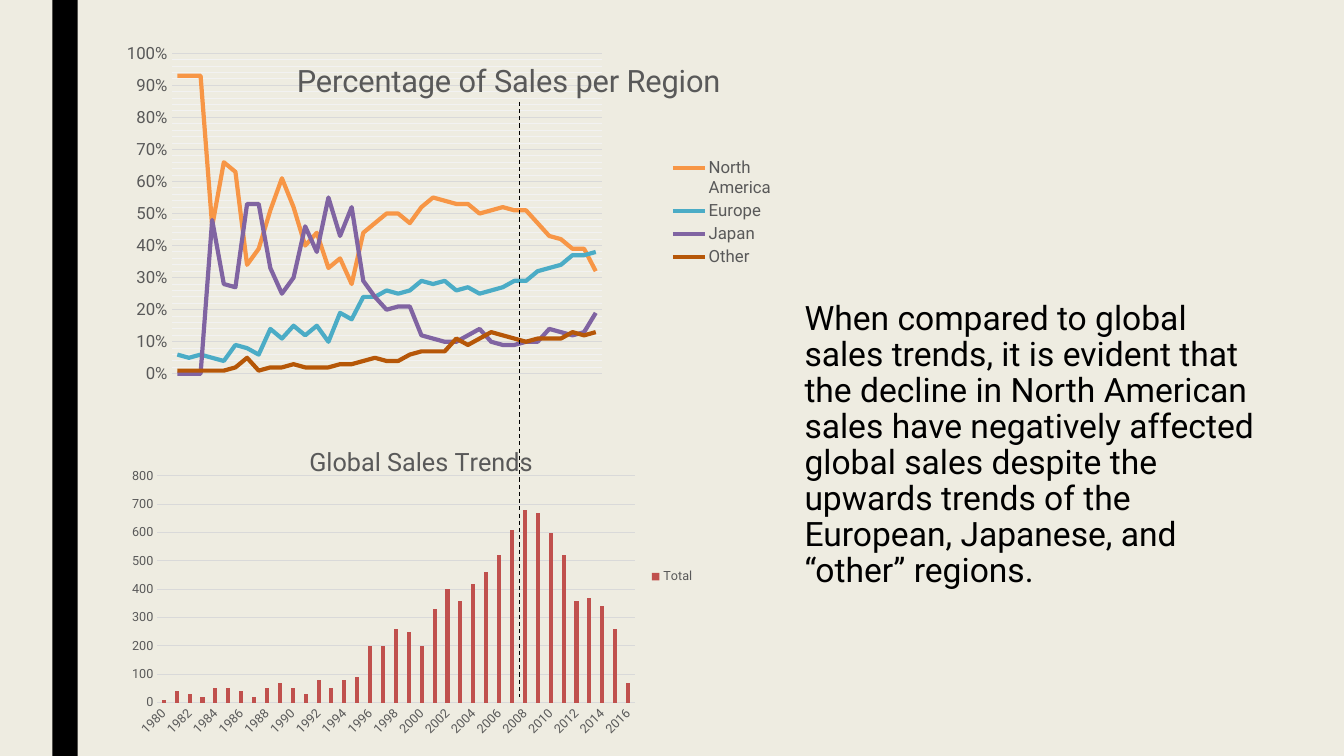
"""Build a slide that sets regional sales shares against global sales trends."""
from dataclasses import dataclass
from typing import Any

import lxml.etree
import pptx
import pptx.chart.data
import pptx.dml.color
import pptx.enum.chart
import pptx.enum.dml
import pptx.enum.shapes
import pptx.oxml
import pptx.oxml.ns
import pptx.util

RGB = pptx.dml.color.RGBColor
BLACK = RGB(0x00, 0x00, 0x00)
CREAM = RGB(0xEE, 0xEC, 0xE1)
GRAY = RGB(0x59, 0x59, 0x59)
GRID = RGB(0xD9, 0xD9, 0xD9)
PALE_GRID = RGB(0xF2, 0xF2, 0xF2)
ORANGE = RGB(0xF7, 0x96, 0x46)
TEAL = RGB(0x4B, 0xAC, 0xC6)
PURPLE = RGB(0x80, 0x64, 0xA2)
BROWN = RGB(0xB6, 0x57, 0x08)
RED = RGB(0xC0, 0x50, 0x4D)

FONT = "Roboto"
WIDTH, HEIGHT = pptx.util.Inches(13.33), pptx.util.Inches(7.5)
YEARS = [str(year) for year in range(1980, 2017)]
MESSAGE = (
    "When compared to global sales trends, it is evident that the decline in North American "
    "sales have negatively affected global sales despite the upwards trends of the European, "
    "Japanese, and “other” regions."
)


@dataclass(frozen=True)
class Box:
    """Left, top, width and height as percentages of the containing area."""
    left: float
    top: float
    width: float = 0
    height: float = 0

    def on_slide(self) -> tuple[int, int, int, int]:
        """Convert the percentages to slide lengths."""
        return (int(WIDTH * self.left / 100), int(HEIGHT * self.top / 100),
                int(WIDTH * self.width / 100), int(HEIGHT * self.height / 100))


@dataclass(frozen=True)
class Region:
    """One data series and its colour."""
    name: str
    color: RGB
    values: list[float]


@dataclass(frozen=True)
class SalesChart:
    """Content and layout of one chart."""
    title: str
    title_size: float
    label_size: float
    kind: Any
    area: Box
    title_spot: Box
    plot: Box
    legend: Box
    regions: list[Region]
    top_value: float
    step: float
    number_format: str


SHARES = SalesChart(
    "Percentage of Sales per Region", 22, 12, pptx.enum.chart.XL_CHART_TYPE.LINE,
    Box(8.93, 4, 56.34, 50.8), Box(22.6, 6.5), Box(6.8, 6, 56.8, 83.5), Box(72, 32.5, 15, 30),
    [
        Region("North America", ORANGE, [
            .93, .93, .93, .46, .66, .63, .34, .39, .51, .61, .52, .4, .44, .33, .36, .28, .44, .47, .5,
            .5, .47, .52, .55, .54, .53, .53, .5, .51, .52, .51, .51, .47, .43, .42, .39, .39, .32]),
        Region("Europe", TEAL, [
            .06, .05, .06, .05, .04, .09, .08, .06, .14, .11, .15, .12, .15, .1, .19, .17, .24, .24, .26,
            .25, .26, .29, .28, .29, .26, .27, .25, .26, .27, .29, .29, .32, .33, .34, .37, .37, .38]),
        Region("Japan", PURPLE, [
            0, 0, 0, .48, .28, .27, .53, .53, .33, .25, .3, .46, .38, .55, .43, .52, .29, .24, .2,
            .21, .21, .12, .11, .1, .1, .12, .14, .1, .09, .09, .1, .1, .14, .13, .12, .13, .19]),
        Region("Other", BROWN, [
            .01, .01, .01, .01, .01, .02, .05, .01, .02, .02, .03, .02, .02, .02, .03, .03, .04, .05, .04,
            .04, .06, .07, .07, .07, .11, .09, .11, .13, .12, .11, .1, .11, .11, .11, .13, .12, .13]),
    ],
    1, 0.1, "0%",
)
TRENDS = SalesChart(
    "Global Sales Trends", 18, 9, pptx.enum.chart.XL_CHART_TYPE.COLUMN_CLUSTERED,
    Box(8.93, 53.6, 43.36, 44.93), Box(31.7, 10.5), Box(6.4, 20.8, 81.9, 66.8), Box(90, 46.5, 9.5, 8),
    [Region("Total", RED, [
        10, 40, 30, 20, 50, 50, 40, 20, 50, 70, 50, 30, 80, 50, 80, 90, 200, 200, 260, 250, 200, 330, 400,
        360, 420, 460, 520, 610, 680, 670, 600, 520, 360, 370, 340, 260, 70])],
    800, 100, "General",
)


def style_font(font: Any, size: float, color: RGB) -> None:
    """Apply the slide's typeface with a size and colour."""
    font.name, font.size, font.bold = FONT, pptx.util.Pt(size), False
    font.color.rgb = color


def style_line(line: Any, color: RGB, width: float = 0.75) -> None:
    """Colour a line and set its width in points."""
    line.color.rgb = color
    line.width = pptx.util.Pt(width)


def place(element: Any, box: Box, inner: bool = False) -> None:
    """Give a chart part a manual layout within its chart."""
    for old_layout in element.findall(pptx.oxml.ns.qn("c:layout")):
        element.remove(old_layout)
    settings = [("layoutTarget", "inner")] if inner else []
    settings += [("xMode", "edge"), ("yMode", "edge"), ("x", box.left / 100), ("y", box.top / 100)]
    if box.width:
        settings += [("w", box.width / 100), ("h", box.height / 100)]
    layout = pptx.oxml.parse_xml(f'<c:layout {pptx.oxml.ns.nsdecls("c")}><c:manualLayout/></c:layout>')
    for tag, value in settings:
        lxml.etree.SubElement(layout[0], pptx.oxml.ns.qn(f"c:{tag}"), val=str(value))
    overlay = element.find(pptx.oxml.ns.qn("c:overlay"))
    element.insert(0 if overlay is None else element.index(overlay), layout)


def style_axes(chart: Any, plan: SalesChart) -> None:
    """Format both axes and the gridlines."""
    years, amounts = chart.category_axis, chart.value_axis
    for axis in (years, amounts):
        axis.major_tick_mark = axis.minor_tick_mark = pptx.enum.chart.XL_TICK_MARK.NONE
        style_font(axis.tick_labels.font, plan.label_size, GRAY)
    style_line(years.format.line, GRID)
    amounts.format.line.fill.background()
    amounts.minimum_scale, amounts.maximum_scale = 0, plan.top_value
    amounts.major_unit = plan.step
    amounts.tick_labels.number_format = plan.number_format
    amounts.tick_labels.number_format_is_linked = False
    style_line(amounts.major_gridlines.format.line, GRID)


def add_sales_chart(slide: Any, plan: SalesChart) -> Any:
    """Add a chart with its title, axes, legend and layout."""
    sales = pptx.chart.data.CategoryChartData(number_format=plan.number_format)
    sales.categories = YEARS
    for region in plan.regions:
        sales.add_series(region.name, region.values)
    chart = slide.shapes.add_chart(plan.kind, *plan.area.on_slide(), sales).chart
    style_font(chart.font, 10, BLACK)
    chart.has_title = chart.has_legend = True
    heading = chart.chart_title.text_frame
    heading.text = plan.title
    style_font(heading.paragraphs[0].runs[0].font, plan.title_size, GRAY)
    chart.legend.position = pptx.enum.chart.XL_LEGEND_POSITION.RIGHT
    chart.legend.include_in_layout = False
    style_font(chart.legend.font, plan.label_size, GRAY)
    style_axes(chart, plan)
    place(chart.chart_title._element, plan.title_spot)
    place(chart.legend._element, plan.legend)
    place(chart._chartSpace.chart.plotArea, plan.plot, inner=True)
    chart.plots[0].vary_by_categories = False
    return chart


def add_share_lines(slide: Any) -> None:
    """Add the line chart of regional shares."""
    chart = add_sales_chart(slide, SHARES)
    chart.category_axis.tick_label_position = pptx.enum.chart.XL_TICK_LABEL_POSITION.NONE
    chart.value_axis.minor_unit = 0.02
    chart.value_axis.has_minor_gridlines = True
    minor_grid = chart.value_axis._element.find(pptx.oxml.ns.qn("c:minorGridlines"))
    minor_grid.append(pptx.oxml.parse_xml(
        f'<c:spPr {pptx.oxml.ns.nsdecls("c", "a")}><a:ln w="{pptx.util.Pt(0.75)}"><a:solidFill>'
        f'<a:srgbClr val="{PALE_GRID}"/></a:solidFill></a:ln></c:spPr>'))
    for series, region in zip(chart.series, SHARES.regions):
        series.smooth = False
        series.marker.style = pptx.enum.chart.XL_MARKER_STYLE.NONE
        style_line(series.format.line, region.color, 3)


def add_trend_columns(slide: Any) -> None:
    """Add the column chart of global sales."""
    chart = add_sales_chart(slide, TRENDS)
    chart.plots[0].gap_width, chart.plots[0].overlap = 219, -27
    for series, region in zip(chart.series, TRENDS.regions):
        series.format.fill.solid()
        series.format.fill.fore_color.rgb = region.color
    axis = chart.category_axis._element
    axis.find(".//" + pptx.oxml.ns.qn("a:bodyPr")).set("rot", "-2700000")
    skip = pptx.oxml.parse_xml(f'<c:tickLblSkip {pptx.oxml.ns.nsdecls("c")} val="2"/>')
    axis.find(pptx.oxml.ns.qn("c:noMultiLvlLbl")).addprevious(skip)


def add_side_bar(slide: Any) -> None:
    """Add the black bar along the left edge."""
    bar = slide.shapes.add_shape(pptx.enum.shapes.MSO_SHAPE.RECTANGLE, *Box(3.9, 0, 1.88, 100).on_slide())
    bar.shadow.inherit = False
    bar.fill.solid()
    bar.fill.fore_color.rgb = BLACK
    bar.line.fill.background()


def add_message(slide: Any) -> None:
    """Add the conclusion beside the charts."""
    frame = slide.shapes.add_textbox(*Box(59.12, 39.33, 35.93, 27.73).on_slide()).text_frame
    frame.word_wrap = True
    frame.text = MESSAGE
    frame.paragraphs[0].line_spacing = 0.89
    style_font(frame.paragraphs[0].runs[0].font, 24, BLACK)


def add_peak_marker(slide: Any) -> None:
    """Add the dashed line through the peak year of both charts."""
    left, top, _, height = Box(38.63, 13.47, 0, 78.67).on_slide()
    marker = slide.shapes.add_connector(
        pptx.enum.shapes.MSO_CONNECTOR.STRAIGHT, left, top, left, top + height)
    style_line(marker.line, BLACK)
    marker.line.dash_style = pptx.enum.dml.MSO_LINE.DASH
    lxml.etree.SubElement(marker._element.spPr, pptx.oxml.ns.qn("a:effectLst"))


def main() -> None:
    """Assemble and save the presentation."""
    deck = pptx.Presentation()
    deck.slide_width, deck.slide_height = WIDTH, HEIGHT
    slide = deck.slides.add_slide(deck.slide_layouts[6])
    slide.background.fill.solid()
    slide.background.fill.fore_color.rgb = CREAM
    for add_part in (add_side_bar, add_message, add_share_lines, add_trend_columns, add_peak_marker):
        add_part(slide)
    deck.save("out.pptx")


if __name__ == "__main__":
    main()
